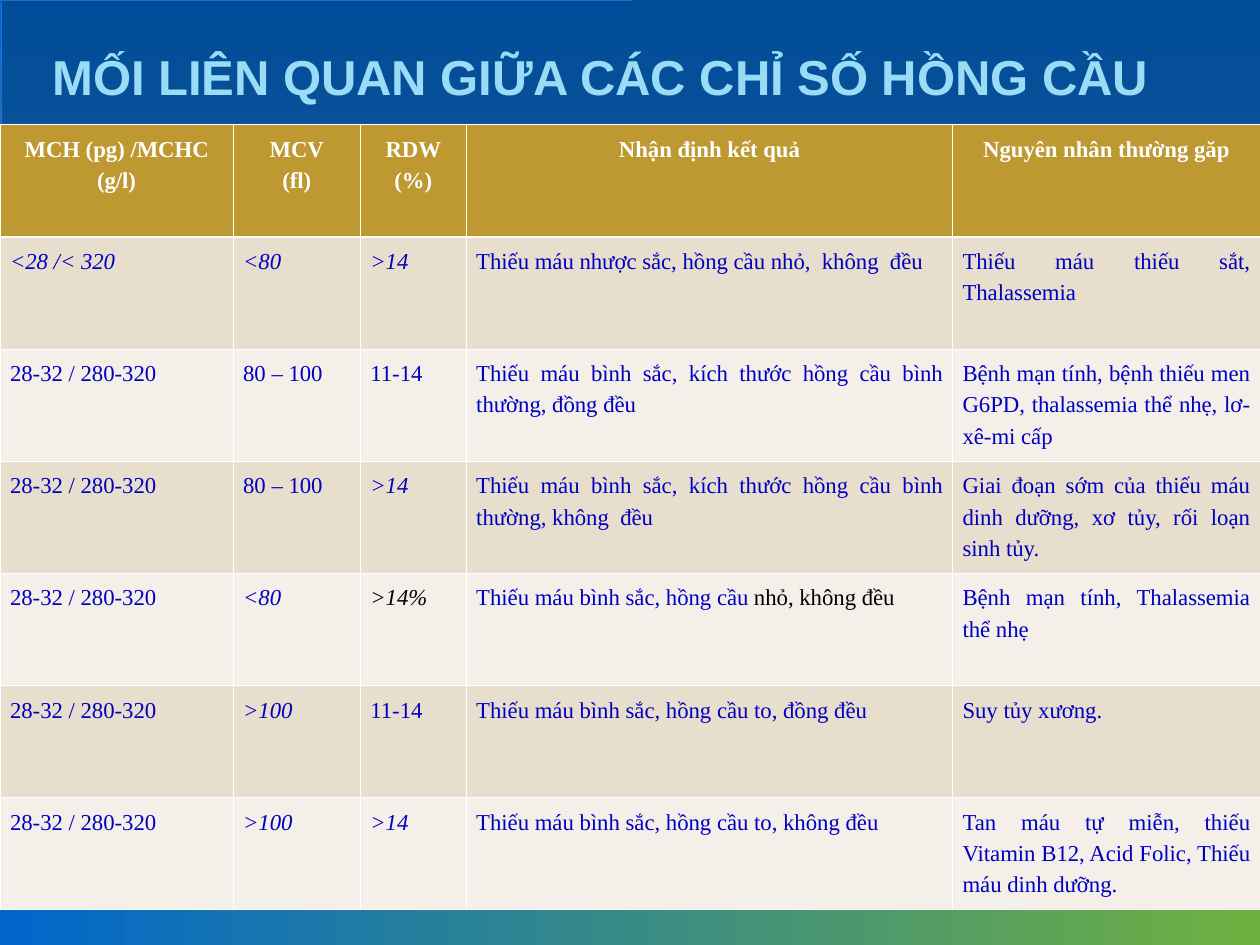
from lxml import etree
from pptx import Presentation
from pptx.dml.color import RGBColor
from pptx.enum.text import MSO_ANCHOR, MSO_AUTO_SIZE, PP_ALIGN
from pptx.oxml.ns import qn
from pptx.util import Inches, Pt

CENTER, JUSTIFY = PP_ALIGN.CENTER, PP_ALIGN.JUSTIFY
TOP, MIDDLE = MSO_ANCHOR.TOP, MSO_ANCHOR.MIDDLE
NO_FIT = MSO_AUTO_SIZE.NONE

NAVY = RGBColor(0x00, 0x2F, 0x5E)
BLUE = RGBColor(0x00, 0x66, 0xCC)
PALE = RGBColor(0x9B, 0xC3, 0xEB)
GREEN = RGBColor(0x70, 0xB0, 0x40)
SKY = RGBColor(0x9A, 0xDC, 0xF6)
GOLD = RGBColor(0xBE, 0x99, 0x32)
SAND = RGBColor(0xE8, 0xDE, 0xCD)
CREAM = RGBColor(0xF4, 0xEF, 0xE8)
INK = RGBColor(0x00, 0x00, 0xC0)
BLACK = RGBColor(0, 0, 0)
WHITE = RGBColor(0xFF, 0xFF, 0xFF)

STEPS = 24  # straight pieces per curve

# Outlines in inches: two numbers are a corner, six numbers a Bezier curve
WAVE = [(0, 5.89), (0.12, 6.01, 1.11, 6.79, 3.44, 6.89),
        (5.76, 6.99, 9.38, 5.69, 10.03, 5.12),
        (10.03, 0), (0.01, 0.01), (0.02, 0.03)]
BAND = [(0, 6.52), (0.03, 6.47, 1.3, 6.92, 3.06, 7.01),
        (4.82, 7.09, 7.23, 6.86, 10.01, 5.78),
        (10, 7.53), (-0.02, 7.52)]

COLS = [1.85, 1.01, 0.84, 3.86, 2.44]
HEAD = ["MCH (pg) /MCHC (g/l)", "MCV\n(fl)", "RDW\n(%)",
        "Nhận định kết quả", "Nguyên nhân thường găp"]
# Text after a bar is black
BODY = [
    ["<28 /< 320", "<80", ">14", "Thiếu máu nhược sắc, hồng cầu nhỏ,  không  đều",
     "Thiếu máu thiếu sắt, Thalassemia"],
    ["28-32 / 280-320", "80 – 100", "11-14",
     "Thiếu máu bình sắc, kích thước hồng cầu bình thường, đồng đều",
     "Bệnh mạn tính, bệnh thiếu men G6PD, thalassemia thể nhẹ, lơ-xê-mi cấp"],
    ["28-32 / 280-320", "80 – 100", ">14",
     "Thiếu máu bình sắc, kích thước hồng cầu bình thường, không  đều",
     "Giai đoạn sớm của thiếu máu dinh dưỡng, xơ tủy, rối loạn sinh tủy."],
    ["28-32 / 280-320", "<80", "|>14%",
     "Thiếu máu bình sắc, hồng cầu| nhỏ, không đều",
     "Bệnh mạn tính, Thalassemia thể nhẹ"],
    ["28-32 / 280-320", ">100", "11-14",
     "Thiếu máu bình sắc, hồng cầu to, đồng đều", "Suy tủy xương."],
    ["28-32 / 280-320", ">100", ">14",
     "Thiếu máu bình sắc, hồng cầu to, không đều",
     "Tan máu tự miễn, thiếu Vitamin B12, Acid Folic, Thiếu máu dinh dưỡng."],
]


def trace(parts):
    """Return the outline as points, with each curve cut into short lines."""
    points = [parts[0]]
    for part in parts[1:]:
        if len(part) == 2:
            points.append(part)
            continue
        start = points[-1]
        for step in range(1, STEPS + 1):
            t = step / STEPS
            u = 1 - t
            points.append(tuple(
                u**3 * start[k] + 3 * u * u * t * part[k]
                + 3 * u * t * t * part[k + 2] + t**3 * part[k + 4]
                for k in (0, 1)))
    return [(Inches(x), Inches(y)) for x, y in points]


def shade(fill, first, last, angle):
    fill.gradient()
    fill.gradient_angle = angle
    for stop, color in zip(fill.gradient_stops, (first, last)):
        stop.color.rgb = color


deck = Presentation()
deck.slide_width, deck.slide_height = Inches(10), Inches(7.5)
slide = deck.slides.add_slide(deck.slide_layouts[5])
shapes = slide.shapes
shade(slide.background.fill, BLUE, PALE, 270)

# Backdrop
for parts, first, last, angle in ((WAVE, NAVY, BLUE, 270), (BAND, BLUE, GREEN, 0)):
    points = trace(parts)
    pen = shapes.build_freeform(*points[0])
    pen.add_line_segments(points[1:])
    form = pen.convert_to_shape()
    form.shadow.inherit = False
    form.line.fill.background()
    shade(form.fill, first, last, angle)
    if parts is WAVE:
        tint = form._element.spPr.find(".//" + qn("a:srgbClr"))
        etree.SubElement(tint, qn("a:alpha"), val="46000")

# Title, lifted above the backdrop
title = shapes.title
shapes._spTree.append(title._element)
place = {"left": 0.04, "top": 0.32, "width": 9.45, "height": 0.57}
for name, value in place.items():
    setattr(title, name, Inches(value))
frame = title.text_frame
frame.text = "MỐI LIÊN QUAN GIỮA CÁC CHỈ SỐ HỒNG CẦU"
for name, value in {"auto_size": NO_FIT, "word_wrap": True,
                    "vertical_anchor": MIDDLE}.items():
    setattr(frame, name, value)
para = frame.paragraphs[0]
para.alignment = CENTER
font = para.runs[0].font
for name, value in {"name": "Arial", "size": Pt(28), "bold": True}.items():
    setattr(font, name, value)
font.color.rgb = SKY

# Table
rows = [HEAD] + BODY
high = Inches(0.89)
table = shapes.add_table(len(rows), len(COLS), 0, Inches(0.99),
                         Inches(10), high * len(rows)).table
for column, width in zip(table.columns, COLS):
    column.width = Inches(width)

inset = {"margin_left": Inches(0.08), "margin_right": Inches(0.08),
         "margin_top": Inches(0.05), "margin_bottom": Inches(0.05),
         "vertical_anchor": TOP}
for r, row in enumerate(rows):
    table.rows[r].height = high
    head = r == 0
    for c, text in enumerate(row):
        cell = table.cell(r, c)
        for name, value in inset.items():
            setattr(cell, name, value)
        cell.fill.solid()
        cell.fill.fore_color.rgb = GOLD if head else (CREAM, SAND)[r % 2]

        props = cell._tc.get_or_add_tcPr()
        for i, side in enumerate("LRTB"):
            thick = (r, side) in ((0, "B"), (1, "T"))
            edge = etree.Element(qn("a:ln" + side),
                                 w=str(Pt(1.47 if thick else 0.45)))
            solid = etree.SubElement(edge, qn("a:solidFill"))
            etree.SubElement(solid, qn("a:srgbClr"), val=str(WHITE))
            props.insert(i, edge)

        frame = cell.text_frame
        for i, line in enumerate(text.split("\n")):
            para = frame.add_paragraph() if i else frame.paragraphs[0]
            para.alignment = CENTER if head else JUSTIFY
            para.line_spacing = 1.25
            plain, _, dark = line.partition("|")
            style = {"name": "Times New Roman", "size": Pt(13), "bold": head,
                     "italic": line.lstrip("|")[0] in "<>"}
            for words, color in ((plain, WHITE if head else INK), (dark, BLACK)):
                if words:
                    run = para.add_run()
                    run.text = words
                    for name, value in style.items():
                        setattr(run.font, name, value)
                    run.font.color.rgb = color

deck.save("out.pptx")
